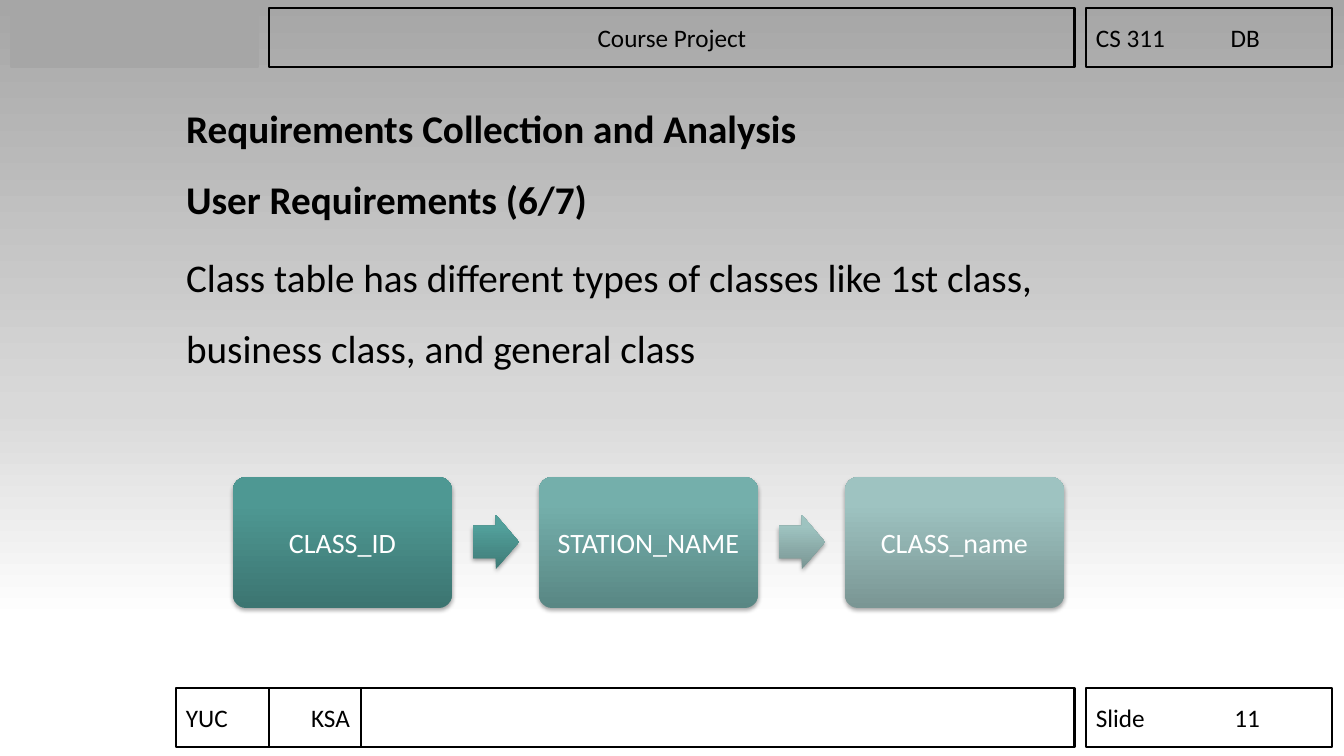
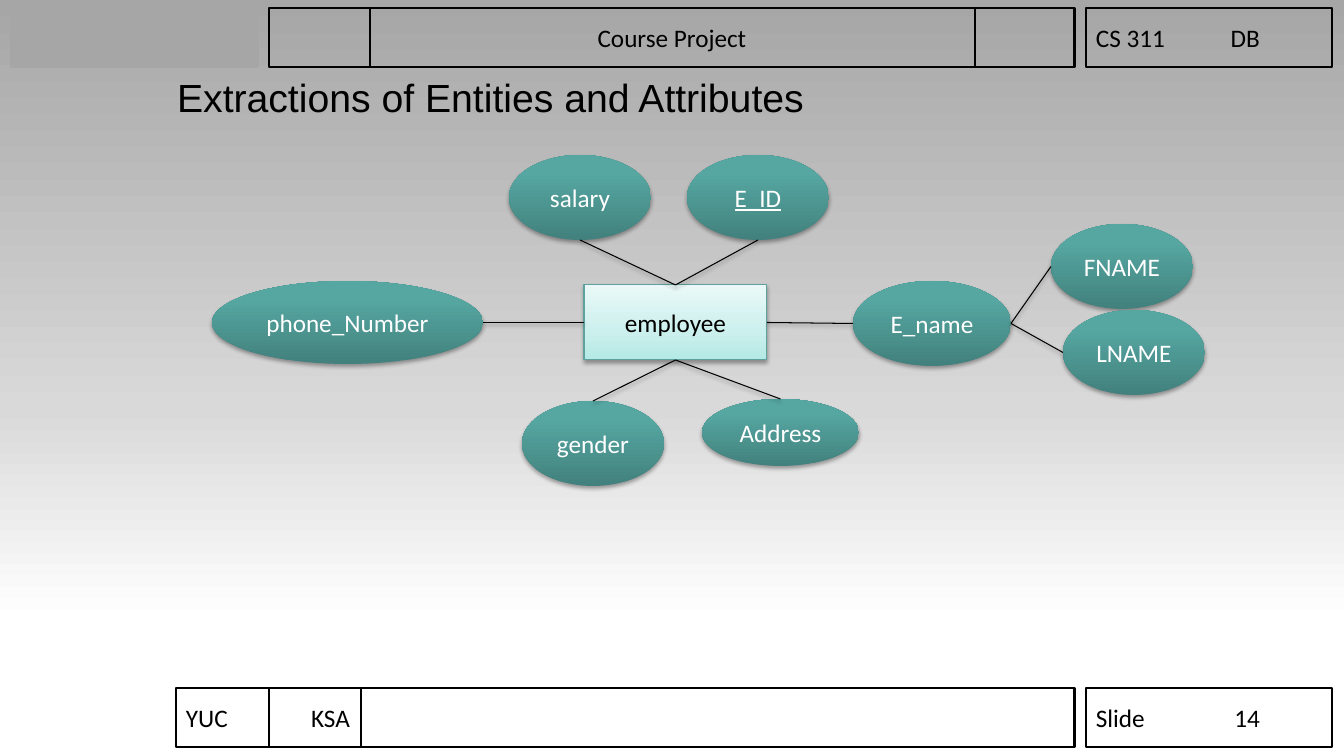
from lxml import etree
from pptx import Presentation
from pptx.dml.color import RGBColor
from pptx.enum.shapes import MSO_CONNECTOR, MSO_SHAPE
from pptx.enum.text import MSO_ANCHOR, MSO_AUTO_SIZE, PP_ALIGN
from pptx.oxml.ns import qn
from pptx.util import Emu, Pt

RECT, ROUNDED = MSO_SHAPE.RECTANGLE, MSO_SHAPE.ROUNDED_RECTANGLE
ELLIPSE, ARROW = MSO_SHAPE.OVAL, MSO_SHAPE.RIGHT_ARROW
STRAIGHT = MSO_CONNECTOR.STRAIGHT
LEFT, CENTER = PP_ALIGN.LEFT, PP_ALIGN.CENTER
TOP, MIDDLE = MSO_ANCHOR.TOP, MSO_ANCHOR.MIDDLE
NO_AUTOFIT = MSO_AUTO_SIZE.NONE

BLACK = RGBColor(0x00, 0x00, 0x00)
WHITE = RGBColor(0xFF, 0xFF, 0xFF)
GREY = RGBColor(0xA6, 0xA6, 0xA6)
LIGHT_GREY = RGBColor(0xD9, 0xD9, 0xD9)
ENTITY_EDGE = RGBColor(0x5E, 0xA1, 0x9D)


def stops(positions, *hexes):
    return [(pos, RGBColor.from_string(h)) for pos, h in zip(positions, hexes)]


GLOSS = (0, 80, 100)
BACKDROP = [(0, GREY), (54, LIGHT_GREY), (82, WHITE), (100, WHITE)]
ATTRIBUTE = stops(GLOSS, "42817D", "56A7A2", "54AAA4")
ENTITY = stops((0, 35, 100), "B4E9E5", "CAEFEC", "EAF9F8")
STEPS = [stops(GLOSS, "3C7571", "4E9893", "4D9A95"),
         stops(GLOSS, "598784", "74AFAB", "74B1AD"),
         stops(GLOSS, "7A9694", "9EC3C1", "9FC5C2")]
STEP_ARROWS = [stops(GLOSS, "3F7B77", "52A09B", "51A29D"),
               stops(GLOSS, "7A9694", "9EC3C0", "9EC5C2")]

BODY_FONT, TITLE_FONT = "Calibri", "Arial"
EMU_PER_PX = 914400 / 100.8
BAR_H, HEADER_Y, FOOTER_Y = 59, 8, 688
TAB_PX = 164
RECT_SITES = {"top": 0, "left": 1, "bottom": 2, "right": 3}
ELLIPSE_SITES = {"top": 0, "left": 2, "bottom": 4, "right": 6}


def px(length):
    return Emu(round(length * EMU_PER_PX))


def set_gradient(fill, owner, colours, angle):
    """Fill with a linear gradient; angle is clockwise from left-to-right."""
    fill.gradient()
    gradient = next(owner.iter(qn("a:gradFill")))
    for child in list(gradient):
        gradient.remove(child)
    stop_list = etree.SubElement(gradient, qn("a:gsLst"))
    for pos, colour in colours:
        stop = etree.SubElement(stop_list, qn("a:gs"), pos=str(pos * 1000))
        etree.SubElement(stop, qn("a:srgbClr"), val=str(colour))
    etree.SubElement(gradient, qn("a:lin"), ang=str(angle * 60000), scaled="0")


def add_shadow(effects, distance, opacity):
    shadow = etree.SubElement(effects, qn("a:outerShdw"), blurRad="40000", dist=str(Pt(distance)),
                              dir="5400000", rotWithShape="0")
    colour = etree.SubElement(shadow, qn("a:srgbClr"), val=str(BLACK))
    etree.SubElement(colour, qn("a:alpha"), val=str(opacity * 1000))


def edge_point(shape, side):
    across = {"left": 0, "right": 1}.get(side, 0.5)
    down = {"top": 0, "bottom": 1}.get(side, 0.5)
    return Emu(int(shape.left + across * shape.width)), Emu(int(shape.top + down * shape.height))


class Deck:
    def __init__(self):
        self.prs = Presentation()
        self.prs.slide_width, self.prs.slide_height = px(1344), px(756)
        self.slide = None

    def new_slide(self, layout, number):
        """Start a slide with the shared backdrop, header and footer."""
        self.slide = self.prs.slides.add_slide(self.prs.slide_layouts[layout])
        background = self.slide.background
        set_gradient(background.fill, self.slide.element, BACKDROP, 90)
        self.bar(11, HEADER_Y, 247, fill=GREY)
        self.bar(269, HEADER_Y, 806, "Course Project", CENTER)
        self.bar(1086, HEADER_Y, 246, "CS 311\tDB")
        self.bar(269, FOOTER_Y, 806)
        self.bar(176, FOOTER_Y, 185, "YUC\tKSA")
        self.bar(1086, FOOTER_Y, 246, f"Slide\t{number}")

    def shape(self, kind, box):
        shape = self.slide.shapes.add_shape(kind, *map(px, box))
        shape.shadow.inherit = False
        return shape

    def label(self, shape, text, colour, size=18, align=CENTER):
        shape.text_frame.vertical_anchor = MIDDLE
        paragraph = shape.text_frame.paragraphs[0]
        paragraph.text = text
        paragraph.alignment = align
        if "\t" in text:
            tabs = etree.SubElement(paragraph._p.get_or_add_pPr(), qn("a:tabLst"))
            etree.SubElement(tabs, qn("a:tab"), pos=str(px(TAB_PX)), algn="r")
        self.style(paragraph, BODY_FONT, size, colour)
        return paragraph

    def style(self, paragraph, font_name, size, colour, bold=False):
        font = paragraph.font
        font.name, font.size, font.bold = font_name, Pt(size), bold
        font.color.rgb = colour

    def bar(self, x, y, w, text="", align=LEFT, fill=None):
        bar = self.shape(RECT, (x, y, w, BAR_H))
        if fill is None:
            bar.fill.background()
        else:
            bar.fill.solid()
            bar.fill.fore_color.rgb = fill
        bar.line.color.rgb = BLACK if fill is None else fill
        bar.line.width = Pt(2)
        if text:
            self.label(bar, text, BLACK, align=align)

    def glossy(self, kind, box, colours, text="", size=18, colour=WHITE, edge=None, underline=False):
        """Add a shaded shape with a soft shadow and an optional label."""
        shape = self.shape(kind, box)
        properties = shape.element.spPr
        set_gradient(shape.fill, properties, colours, 270)
        if edge is None:
            shape.line.fill.background()
        else:
            shape.line.color.rgb = edge
            shape.line.width = Pt(0.75)
        add_shadow(properties.find(qn("a:effectLst")), 1.8, 35)
        if text:
            self.label(shape, text, colour, size).font.underline = underline
        return shape

    def link(self, start, start_side, end, end_side):
        """Join two shapes with a thin line attached to both."""
        line = self.slide.shapes.add_connector(
            STRAIGHT, *edge_point(start, start_side), *edge_point(end, end_side))
        line.line.color.rgb = BLACK
        line.line.width = Pt(0.75)
        add_shadow(etree.SubElement(line.element.spPr, qn("a:effectLst")), 1.6, 38)
        joints = next(line.element.iter(qn("p:cNvCxnSpPr")))
        for tag, shape, side in (("a:stCxn", start, start_side), ("a:endCxn", end, end_side)):
            sites = ELLIPSE_SITES if shape.auto_shape_type == ELLIPSE else RECT_SITES
            etree.SubElement(joints, qn(tag), id=str(shape.shape_id), idx=str(sites[side]))

    def placeholder(self, index, box, paragraphs, font_name=BODY_FONT, bold=False, spacing=1.0):
        holder = self.slide.placeholders[index]
        holder.left, holder.top, holder.width, holder.height = map(px, box)
        frame = holder.text_frame
        frame.word_wrap, frame.auto_size, frame.vertical_anchor = True, NO_AUTOFIT, TOP
        frame.text = "\n".join(paragraphs)
        for paragraph in frame.paragraphs:
            paragraph.alignment, paragraph.line_spacing = LEFT, spacing
            paragraph.space_before = Pt(0)
            properties = paragraph._p.get_or_add_pPr()
            properties.set("marL", "0")
            properties.set("indent", "0")
            etree.SubElement(properties, qn("a:buNone"))
            self.style(paragraph, font_name, 28, BLACK, bold)


def requirements_slide(deck):
    deck.new_slide(1, 11)
    deck.placeholder(0, (176, 76, 991, 149),
                     ["Requirements Collection and Analysis", "User Requirements (6/7)"],
                     bold=True, spacing=1.5)
    deck.placeholder(1, (176, 225, 991, 200),
                     ["Class table has different types of classes like 1st class, "
                      "business class, and general class"], spacing=1.5)
    left, pitch = 233, 306
    for i, column in enumerate(["CLASS_ID", "STATION_NAME", "CLASS_name"]):
        step = deck.glossy(ROUNDED, (left + i * pitch, 477, 219, 131), STEPS[i], column, 20)
        step.adjustments[0] = 0.1
    for i, colours in enumerate(STEP_ARROWS):
        arrow = deck.glossy(ARROW, (left + 240 + i * pitch, 515, 46, 54), colours)
        arrow.adjustments[0] = 0.6


def entities_slide(deck):
    deck.new_slide(5, 14)
    deck.bar(370, HEADER_Y, 605)
    deck.placeholder(0, (167, 68, 940, 42), ["Extractions of Entities and Attributes"], TITLE_FONT)
    employee = deck.glossy(RECT, (584, 285, 183, 75), ENTITY, "employee",
                           colour=BLACK, edge=ENTITY_EDGE)
    boxes = {
        "salary": (509, 155, 142, 85),
        "E_ID": (687, 155, 142, 85),
        "FNAME": (1051, 224, 142, 85),
        "LNAME": (1063, 310, 142, 85),
        "E_name": (853, 281, 158, 85),
        "Address": (702, 399, 157, 67),
        "gender": (522, 401, 142, 85),
        "phone_Number": (212, 281, 271, 83),
    }
    attributes = {name: deck.glossy(ELLIPSE, box, ATTRIBUTE, name, underline=name == "E_ID")
                  for name, box in boxes.items()}
    for side, name, facing in [("bottom", "Address", "top"), ("bottom", "gender", "top"),
                               ("top", "E_ID", "bottom"), ("top", "salary", "bottom"),
                               ("right", "E_name", "left"), ("left", "phone_Number", "right")]:
        deck.link(employee, side, attributes[name], facing)
    for part in ("FNAME", "LNAME"):
        deck.link(attributes["E_name"], "right", attributes[part], "left")


def main():
    deck = Deck()
    requirements_slide(deck)
    entities_slide(deck)
    deck.prs.save("out.pptx")


if __name__ == "__main__":
    main()
